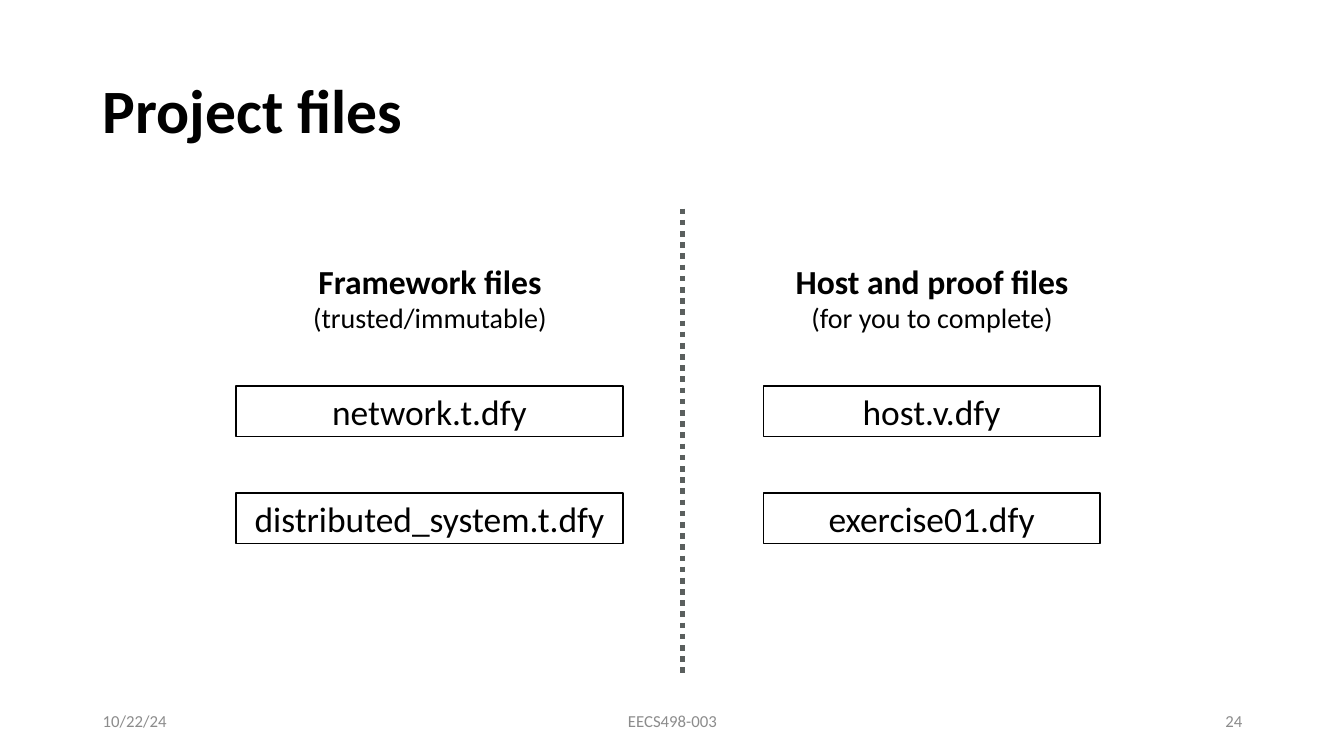
from lxml.etree import SubElement
from pptx import Presentation
from pptx.dml.color import RGBColor
from pptx.enum.dml import MSO_LINE
from pptx.enum.shapes import MSO_CONNECTOR, MSO_SHAPE
from pptx.enum.text import MSO_ANCHOR, PP_ALIGN
from pptx.oxml.ns import qn
from pptx.util import Inches, Pt

FONT = "Calibri"
COLORS = {"ink": "000000", "footer": "8C8C8C", "divider": "5A5F5E"}

TITLE = "Project files"
COLUMNS = [
    {"heading": "Framework files", "note": "(trusted/immutable)",
     "files": ["network.t.dfy", "distributed_system.t.dfy"],
     "heading_left": 2.23, "file_left": 2.34, "file_width": 3.84},
    {"heading": "Host and proof files", "note": "(for you to complete)",
     "files": ["host.v.dfy", "exercise01.dfy"],
     "heading_left": 7.21, "file_left": 7.57, "file_width": 3.34},
]
FOOTERS = [  # text, left, width, alignment
    ("10/22/24", 0.92, 3, PP_ALIGN.LEFT),
    ("EECS498-003", 4.42, 4.5, PP_ALIGN.CENTER),
    ("24", 9.42, 3, PP_ALIGN.RIGHT),
]
HEADING_TOP, HEADING_WIDTH, HEADING_HEIGHT = 2.54, 4.07, 0.82
FILE_TOP, FILE_HEIGHT, FILE_STEP = 3.83, 0.5, 1.06
FOOTER_TOP, FOOTER_HEIGHT = 6.95, 0.4
DIVIDER_X, DIVIDER_TOP, DIVIDER_BOTTOM = 6.77, 2.07, 6.69
TIGHT = 0.04


def color(name):
    return RGBColor.from_string(COLORS[name])


def write(box, *lines, align=PP_ALIGN.LEFT, ink="ink", inset=None, spacing=None):
    """Fill a box with lines, each given as (text, size, bold)."""
    frame = box.text_frame
    frame.word_wrap = True
    frame.vertical_anchor = MSO_ANCHOR.MIDDLE
    if inset is not None:
        frame.margin_left = frame.margin_right = Inches(inset)
        frame.margin_top = frame.margin_bottom = Inches(inset)
    for index, (text, size, bold) in enumerate(lines):
        para = frame.add_paragraph() if index else frame.paragraphs[0]
        para.alignment = align
        para.line_spacing = spacing
        span = para.add_run()
        span.text = text
        span.font.name = FONT
        span.font.size = Pt(size)
        span.font.bold = bold
        span.font.color.rgb = color(ink)


def add_text(page, left, top, width, height, *lines, **style):
    box = page.shapes.add_textbox(*map(Inches, (left, top, width, height)))
    write(box, *lines, **style)


def add_file(page, name, left, top, width):
    box = page.shapes.add_shape(
        MSO_SHAPE.RECTANGLE, *map(Inches, (left, top, width, FILE_HEIGHT)))
    box.shadow.inherit = False
    box.fill.background()
    box.line.color.rgb = color("ink")
    box.line.width = Pt(1)
    write(box, (name, 25.3, False), align=PP_ALIGN.CENTER, inset=TIGHT)


def add_divider(page):
    line = page.shapes.add_connector(
        MSO_CONNECTOR.STRAIGHT,
        *map(Inches, (DIVIDER_X, DIVIDER_TOP, DIVIDER_X, DIVIDER_BOTTOM)))
    line.line.color.rgb = color("divider")
    line.line.width = Pt(4)
    line.line.dash_style = MSO_LINE.ROUND_DOT
    SubElement(line._element.spPr, qn("a:effectLst"))


def main():
    deck = Presentation()
    deck.slide_width, deck.slide_height = Inches(13.33), Inches(7.5)
    page = deck.slides.add_slide(deck.slide_layouts[6])

    add_text(page, 0.92, 0.4, 11.5, 1.45, (TITLE, 44, True), spacing=0.9)
    for column in COLUMNS:
        add_text(page, column["heading_left"], HEADING_TOP, HEADING_WIDTH,
                 HEADING_HEIGHT, (column["heading"], 24, True),
                 (column["note"], 20, False), align=PP_ALIGN.CENTER, inset=TIGHT)
        for row, name in enumerate(column["files"]):
            add_file(page, name, column["file_left"],
                     FILE_TOP + row * FILE_STEP, column["file_width"])
    add_divider(page)
    for text, left, width, align in FOOTERS:
        add_text(page, left, FOOTER_TOP, width, FOOTER_HEIGHT,
                 (text, 12, False), align=align, ink="footer")
    deck.save("out.pptx")


if __name__ == "__main__":
    main()
